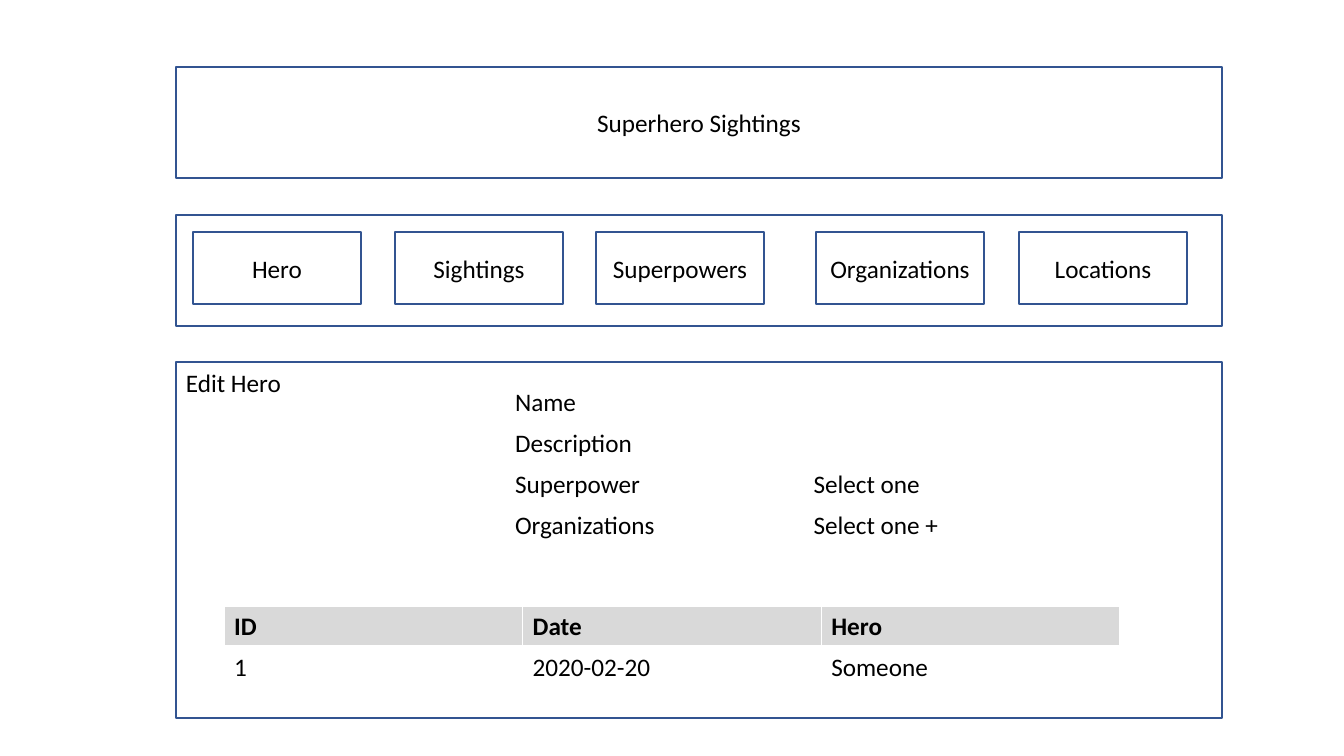
from lxml import etree
from pptx import Presentation
from pptx.dml.color import RGBColor
from pptx.enum.shapes import MSO_SHAPE
from pptx.enum.text import MSO_ANCHOR, PP_ALIGN
from pptx.oxml.ns import qn
from pptx.util import Pt

RECTANGLE = MSO_SHAPE.RECTANGLE
TOP, MIDDLE = MSO_ANCHOR.TOP, MSO_ANCHOR.MIDDLE
LEFT, CENTER = PP_ALIGN.LEFT, PP_ALIGN.CENTER
EMU_PER_PIXEL = 914400 / 100.8
OUTLINE, HEADER_GREY, WHITE, BLACK = "325491", "D9D9D9", "FFFFFF", "000000"
PANEL_LEFT, PANEL_WIDTH = 176, 1046
ROW_HEIGHT = 41
MENU = {
    "Hero": 193,
    "Sightings": 395,
    "Superpowers": 596,
    "Organizations": 816,
    "Locations": 1019,
}
FIELDS = [
    ["Name", ""],
    ["Description", ""],
    ["Superpower", "Select one"],
    ["Organizations", "Select one +"],
]
SIGHTINGS = [["ID", "Date", "Hero"], ["1", "2020-02-20", "Someone"]]


def px(pixels):
    """Turn pixels into EMU."""
    return round(pixels * EMU_PER_PIXEL)


def color(hex_string):
    """Turn a hex string into a colour."""
    return RGBColor.from_string(hex_string)


def write(frame, text, size=18, bold=False, align=LEFT, anchor=TOP):
    """Put one formatted paragraph into a text frame."""
    frame.word_wrap = True
    frame.vertical_anchor = anchor
    paragraph = frame.paragraphs[0]
    paragraph.alignment = align
    run = paragraph.add_run()
    run.text = text
    run.font.name = "Calibri"
    run.font.size = Pt(size)
    run.font.bold = bold
    run.font.color.rgb = color(BLACK)


def outline(box):
    """Give a box a thin outline and no fill."""
    box.fill.background()
    box.line.color.rgb = color(OUTLINE)
    box.line.width = Pt(1)


def add_box(slide, left, top, width, height):
    """Add an outlined rectangle."""
    box = slide.shapes.add_shape(RECTANGLE, px(left), px(top), px(width), px(height))
    box.shadow.inherit = False
    outline(box)
    return box


def add_heading(slide, text, left, top, width, height):
    """Turn the title placeholder into the outlined page heading."""
    heading = slide.shapes.title
    heading.left, heading.top = px(left), px(top)
    heading.width, heading.height = px(width), px(height)
    outline(heading)
    write(heading.text_frame, text, align=CENTER, anchor=MIDDLE)


def set_borders(cell, bottom):
    """Draw white borders round a cell, with a chosen bottom width."""
    properties = cell._tc.get_or_add_tcPr()
    for side, points in (("L", 1), ("R", 1), ("T", 1), ("B", bottom)):
        border = etree.SubElement(properties, qn(f"a:ln{side}"), w=str(Pt(points)))
        fill = etree.SubElement(border, qn("a:solidFill"))
        etree.SubElement(fill, qn("a:srgbClr"), val=WHITE)


def add_grid(slide, rows, left, top, width, header_fill=None):
    """Add a table whose first row may be a filled bold header."""
    row_count, column_count = len(rows), len(rows[0])
    grid = slide.shapes.add_table(
        row_count, column_count, px(left), px(top), px(width), px(row_count * ROW_HEIGHT)
    ).table
    grid.first_row = grid.horz_banding = False
    for row_index, row in enumerate(rows):
        for column_index, text in enumerate(row):
            cell = grid.cell(row_index, column_index)
            is_header = row_index == 0
            is_filled = is_header and header_fill is not None
            set_borders(cell, bottom=3 if is_header else 1)
            if is_filled:
                cell.fill.solid()
                cell.fill.fore_color.rgb = color(header_fill)
            else:
                cell.fill.background()
            write(cell.text_frame, text, bold=is_filled)


def main():
    """Build the hero editing page."""
    presentation = Presentation()
    presentation.slide_width, presentation.slide_height = px(1344), px(756)
    slide = presentation.slides.add_slide(presentation.slide_layouts[5])

    add_heading(slide, "Superhero Sightings", PANEL_LEFT, 67, PANEL_WIDTH, 111)
    add_box(slide, PANEL_LEFT, 215, PANEL_WIDTH, 111)
    edit_panel = add_box(slide, PANEL_LEFT, 362, PANEL_WIDTH, 356)
    write(edit_panel.text_frame, "Edit Hero")

    for label, left in MENU.items():
        button = add_box(slide, left, 232, 168, 72)
        write(button.text_frame, label, align=CENTER, anchor=MIDDLE)

    add_grid(slide, SIGHTINGS, 224, 606, 896, header_fill=HEADER_GREY)
    add_grid(slide, FIELDS, 505, 382, 597)
    presentation.save("out.pptx")


main()
